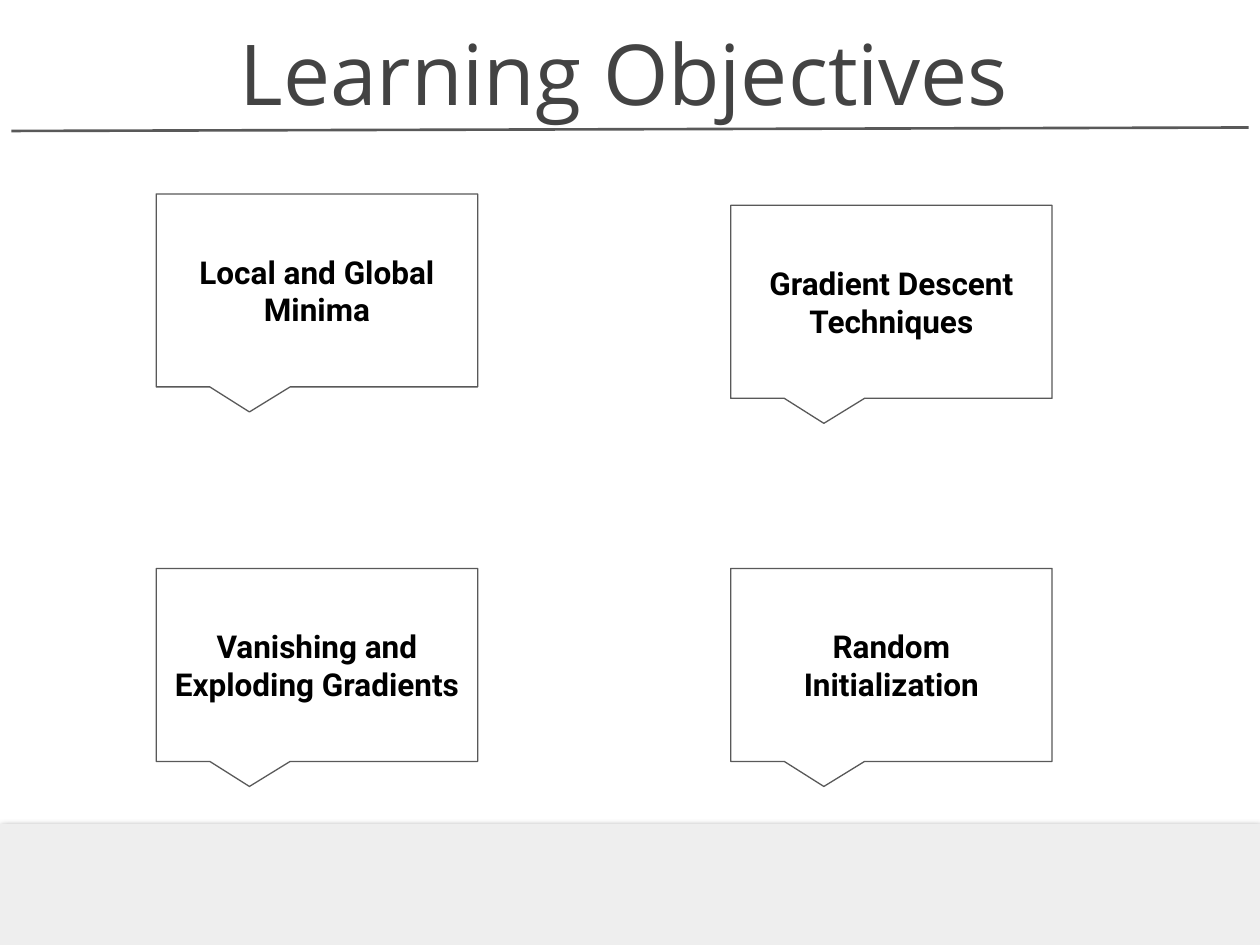
import pptx
import pptx.dml.color
import pptx.enum.shapes
import pptx.enum.text
import pptx.oxml
import pptx.oxml.ns
import pptx.util

Cm = pptx.util.Cm
Pt = pptx.util.Pt
RGBColor = pptx.dml.color.RGBColor
Anchor = pptx.enum.text.MSO_ANCHOR
Shape = pptx.enum.shapes.MSO_SHAPE

BLACK = RGBColor(0x00, 0x00, 0x00)
TITLE_GREY = RGBColor(0x43, 0x43, 0x43)
LINE_GREY = RGBColor(0x59, 0x59, 0x59)
FOOTER_GREY = RGBColor(0xEE, 0xEE, 0xEE)

EMPTY_EFFECTS = f'<a:effectLst {pptx.oxml.ns.nsdecls("a")}/>'
SOFT_SHADOW = (
    f'<a:effectLst {pptx.oxml.ns.nsdecls("a")}>'
    f'<a:outerShdw blurRad="{Pt(4.5)}" dist="{Pt(1.5)}" dir="5400000" algn="bl" rotWithShape="0">'
    '<a:srgbClr val="000000"><a:alpha val="50000"/></a:srgbClr>'
    '</a:outerShdw></a:effectLst>')


class ObjectivesSlide:
    title_font = {"name": "Open Sans", "size": Pt(48), "bold": False}
    callout_font = {"name": "Roboto", "size": Pt(18), "bold": True}
    frame = {"word_wrap": True, "auto_size": pptx.enum.text.MSO_AUTO_SIZE.NONE,
             "margin_left": Cm(0.25), "margin_top": Cm(0.25),
             "margin_right": Cm(0.25), "margin_bottom": Cm(0.25)}

    def __init__(self, deck):
        self.slide = deck.slides.add_slide(deck.slide_layouts[5])
        self.shapes = self.slide.shapes

    def label(self, holder, wording, font, color, anchor):
        text_frame = holder.text_frame
        text_frame.text = wording
        for key, value in {**self.frame, "vertical_anchor": anchor}.items():
            setattr(text_frame, key, value)
        paragraph = text_frame.paragraphs[0]
        paragraph.alignment = pptx.enum.text.PP_ALIGN.CENTER
        run_font = paragraph.runs[0].font
        for key, value in font.items():
            setattr(run_font, key, value)
        run_font.color.rgb = color

    def title(self, wording, left, top, width, height):
        heading = self.shapes.title
        place = {"left": left, "top": top, "width": width, "height": height}
        for key, value in place.items():
            setattr(heading, key, Cm(value))
        self.label(heading, wording, self.title_font, TITLE_GREY, Anchor.BOTTOM)

    def rule(self, *ends):
        underline = self.shapes.add_connector(
            pptx.enum.shapes.MSO_CONNECTOR.STRAIGHT, *map(Cm, ends))
        underline.line.color.rgb = LINE_GREY
        underline.line.width = Pt(1.5)
        underline._element.spPr.append(pptx.oxml.parse_xml(EMPTY_EFFECTS))

    def footer(self, *place):
        band = self.shapes.add_shape(Shape.RECTANGLE, *map(Cm, place))
        band.fill.solid()
        band.fill.fore_color.rgb = FOOTER_GREY
        band.line.fill.background()
        band._element.spPr.append(pptx.oxml.parse_xml(SOFT_SHADOW))

    def callout(self, wording, left, top):
        bubble = self.shapes.add_shape(
            Shape.ROUNDED_RECTANGULAR_CALLOUT, Cm(left), Cm(top), Cm(6.48), Cm(3.89))
        for index, value in enumerate((-0.21, 0.63, 0)):
            bubble.adjustments[index] = value
        bubble.shadow.inherit = False
        bubble.fill.background()
        bubble.line.color.rgb = LINE_GREY
        bubble.line.width = Pt(0.75)
        self.label(bubble, wording, self.callout_font, BLACK, Anchor.MIDDLE)


deck = pptx.Presentation()
deck.slide_width, deck.slide_height = Cm(25.4), Cm(19.05)
objectives = ObjectivesSlide(deck)

# Heading, its rule and the footer band
objectives.title("Learning Objectives", 3.3, 0.48, 18.57, 2.24)
objectives.rule(0.23, 2.64, 25.17, 2.57)
objectives.footer(0, 16.61, 25.4, 2.57)

# Two columns of objectives; the upper right one sits slightly lower
LEFT, RIGHT, LOWER = 3.15, 14.73, 11.46
for topic, left, top in (
        ("Local and Global Minima", LEFT, 3.91),
        ("Gradient Descent Techniques", RIGHT, 4.14),
        ("Vanishing and Exploding Gradients", LEFT, LOWER),
        ("Random Initialization", RIGHT, LOWER)):
    objectives.callout(topic, left, top)

deck.save("out.pptx")
